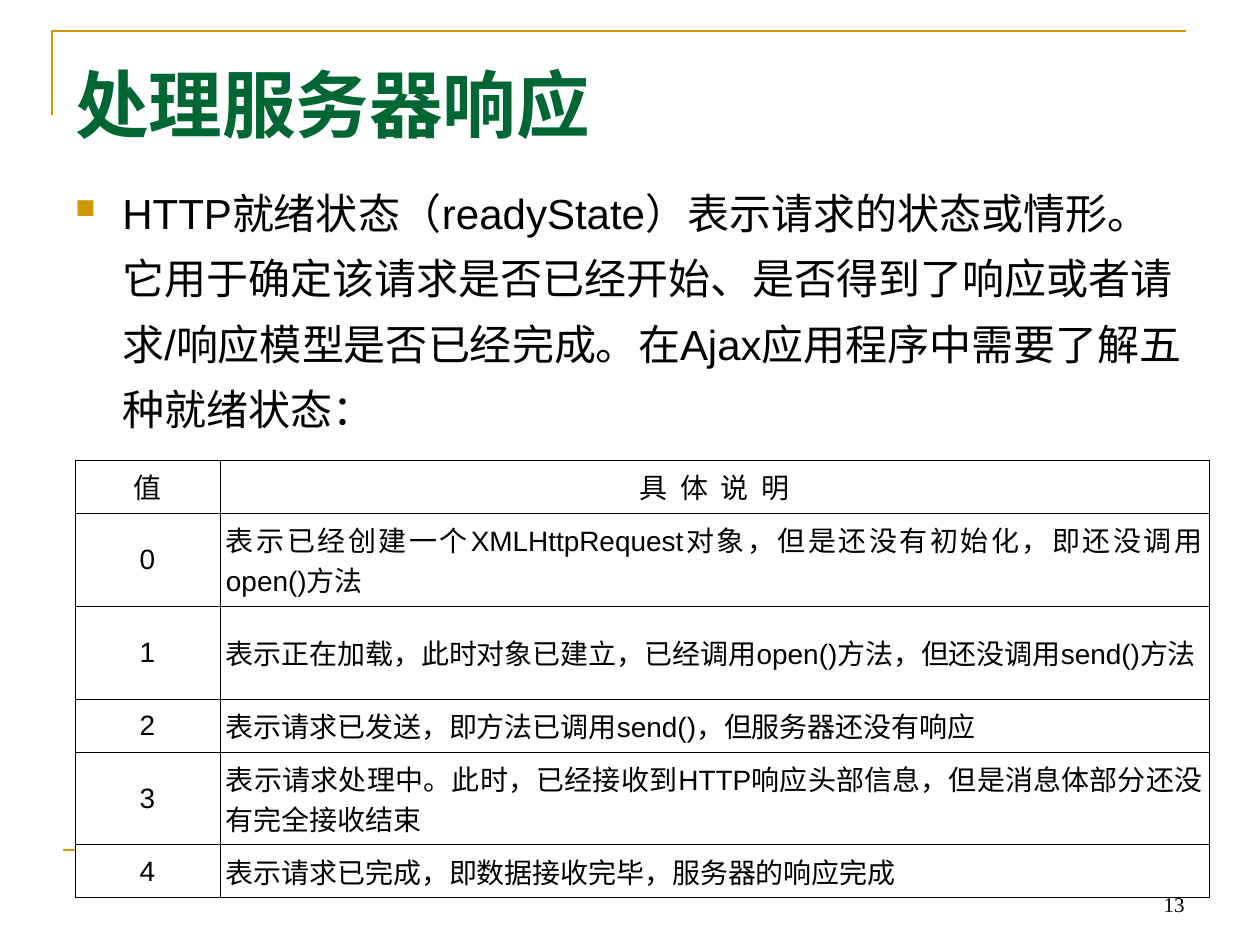
import pptx
import pptx.util
import pptx.dml.color
import pptx.enum.shapes
import pptx.enum.text
import pptx.oxml
import pptx.oxml.ns
from lxml import etree

# Content
TITLE = "处理服务器响应"
BODY = ("HTTP就绪状态（readyState）表示请求的状态或情形。它用于确定该请求是否已经开始、"
        "是否得到了响应或者请求/响应模型是否已经完成。在Ajax应用程序中需要了解五种就绪状态：")
PAGE = "13"
HEADER = ("值", "具 体 说 明")
STATES = [
    "表示已经创建一个XMLHttpRequest对象，但是还没有初始化，即还没调用open()方法",
    "表示正在加载，此时对象已建立，已经调用open()方法，但还没调用send()方法",
    "表示请求已发送，即方法已调用send()，但服务器还没有响应",
    "表示请求处理中。此时，已经接收到HTTP响应头部信息，但是消息体部分还没有完全接收结束",
    "表示请求已完成，即数据接收完毕，服务器的响应完成",
]
ROWS = [HEADER] + [(str(i), text) for i, text in enumerate(STATES)]

COLORS = {"gold": "CC9900", "green": "006633", "black": "000000", "white": "FFFFFF"}
COL_W = (145, 989)
ONE_LINE, TWO_LINES = 53, 93
ROW_H = (ONE_LINE, TWO_LINES, TWO_LINES, ONE_LINE, TWO_LINES, ONE_LINE)

ALIGN = pptx.enum.text.PP_ALIGN
ANCHOR = pptx.enum.text.MSO_ANCHOR
qn = pptx.oxml.ns.qn


def px(n):
    return pptx.util.Emu(n * 914400 // 126)


def rgb(name):
    return pptx.dml.color.RGBColor.from_string(COLORS[name])


def add_run(p, text, size, font, color="black", bold=False):
    r = p.add_run()
    r.text = text
    r.font.size = pptx.util.Pt(size)
    r.font.name = font
    r.font.bold = bold
    r.font.color.rgb = rgb(color)
    return r


def add_box(x, y, w, h, anchor=ANCHOR.TOP):
    tf = slide.shapes.add_textbox(px(x), px(y), px(w), px(h)).text_frame
    tf.word_wrap = True
    tf.vertical_anchor = anchor
    return tf.paragraphs[0]


def gold_line(sp):
    sp.line.color.rgb = rgb("gold")
    sp.line.width = pptx.util.Pt(1.5)


def set_borders(cell):
    tcPr = cell._tc.get_or_add_tcPr()
    for side in ("lnL", "lnR", "lnT", "lnB"):
        ln = etree.SubElement(tcPr, qn("a:" + side), w=str(pptx.util.Pt(0.45)))
        fill = etree.SubElement(ln, qn("a:solidFill"))
        etree.SubElement(fill, qn("a:srgbClr"), val=COLORS["black"])


prs = pptx.Presentation()
prs.slide_width, prs.slide_height = px(1260), px(945)
slide = prs.slides.add_slide(prs.slide_layouts[6])

# Corner frame and footer rule
fb = slide.shapes.build_freeform(px(52), px(115))
fb.add_line_segments([(px(52), px(31)), (px(1186), px(31))], close=False)
frame = fb.convert_to_shape()
frame.fill.background()
frame.shadow.inherit = False
gold_line(frame)

rule = slide.shapes.add_connector(
    pptx.enum.shapes.MSO_CONNECTOR.STRAIGHT, px(63), px(850), px(1197), px(850))
gold_line(rule)
etree.SubElement(rule._element.spPr, qn("a:effectLst"))

# Title
add_run(add_box(63, 53, 1134, 142), TITLE, 42, "Times New Roman", "green", True)

# Bulleted paragraph
p = add_box(63, 166, 1134, 679)
p.line_spacing = 1.3
pPr = p._p.get_or_add_pPr()
pPr.set("marL", str(px(47)))
pPr.set("indent", str(-px(47)))
color = etree.SubElement(pPr, qn("a:buClr"))
etree.SubElement(color, qn("a:srgbClr"), val=COLORS["gold"])
etree.SubElement(pPr, qn("a:buSzPct"), val="65000")
etree.SubElement(pPr, qn("a:buFont"), typeface="Wingdings", charset="2")
etree.SubElement(pPr, qn("a:buChar"), char="n")  # square in Wingdings
add_run(p, BODY, 24, "Arial")

# Page number
p = add_box(903, 860, 294, 63, ANCHOR.BOTTOM)
p.alignment = ALIGN.RIGHT
add_run(p, PAGE, 12, "Times New Roman")

# Ready state table
table = slide.shapes.add_table(len(ROWS), len(COL_W), px(75), px(460),
                               px(sum(COL_W)), px(sum(ROW_H))).table
table.first_row = table.horz_banding = False
for col, w in zip(table.columns, COL_W):
    col.width = px(w)
for i, (row, h, texts) in enumerate(zip(table.rows, ROW_H, ROWS)):
    row.height = px(h)
    for j, (cell, text) in enumerate(zip(row.cells, texts)):
        cell.margin_left = cell.margin_right = px(6)
        cell.margin_top = cell.margin_bottom = px(6)
        cell.vertical_anchor = ANCHOR.MIDDLE
        set_borders(cell)
        cell.fill.solid()
        cell.fill.fore_color.rgb = rgb("white")
        p = cell.text_frame.paragraphs[0]
        p.alignment = ALIGN.JUSTIFY if i and j else ALIGN.CENTER
        r = add_run(p, text, 16, "Arial")
        if text == HEADER[1]:
            r.font._element.set("spc", "180")  # widely spaced heading

prs.save("out.pptx")
